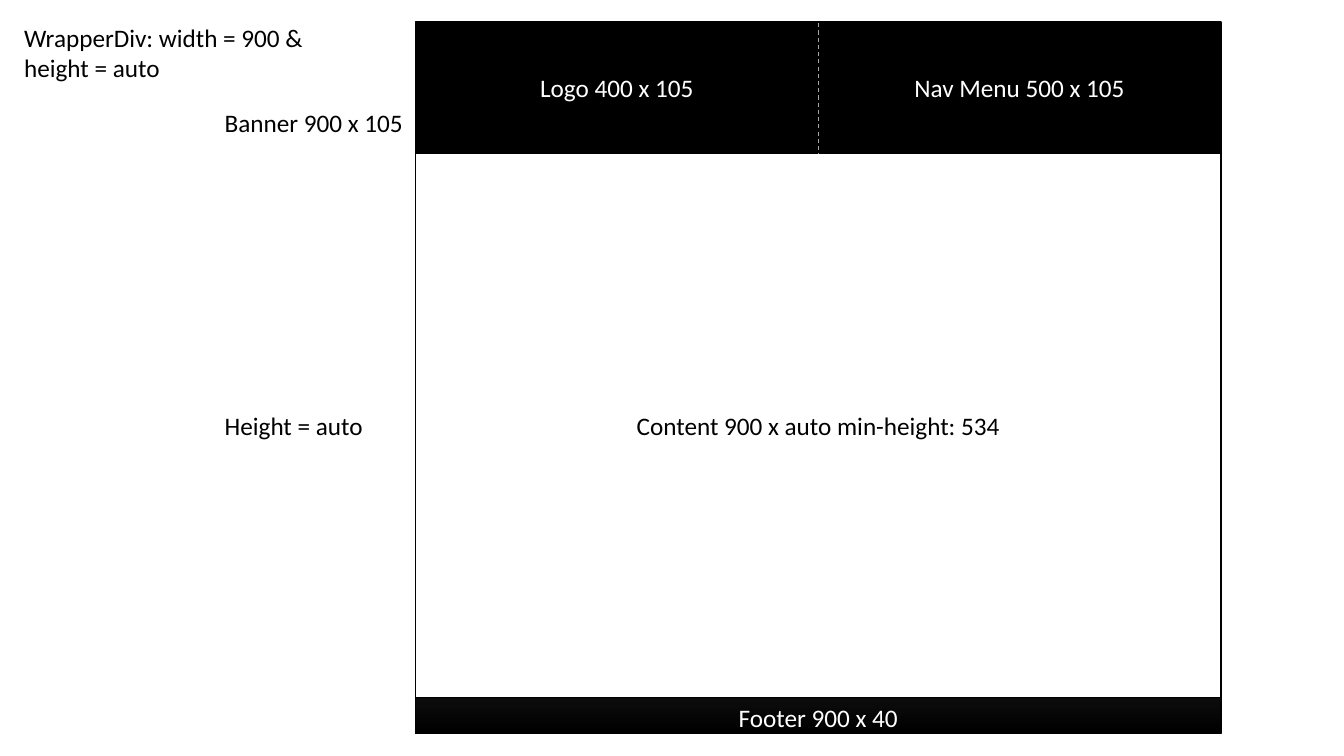
from dataclasses import dataclass
from typing import Optional

from lxml import etree
from pptx import Presentation
from pptx import util as u
from pptx.dml import color
from pptx.enum import dml, shapes, text
from pptx.oxml import ns

SLIDE_WIDTH, SLIDE_HEIGHT = u.Inches(13.33), u.Inches(7.5)
BLACK, WHITE, DIVIDER_GREY = "000000", "FFFFFF", "A5A5A5"
PAGE_LEFT, PAGE_WIDTH = 30.91, 59.94
HALF = PAGE_WIDTH / 2
MIDDLE = PAGE_LEFT + HALF
BANNER_TOP, CONTENT_TOP, FOOTER_TOP = 3.07, 20.27, 92.27
BANNER_HEIGHT = 17.1
LABEL_LEFT, LABEL_HEIGHT = 15.98, 5.33
WRAPPER_STOPS = [(0, "000000"), (22, "3B3838"), (47, "767171"),
                 (65, "AFABAB"), (83, "AFABAB"), (100, "D0CECE")]


@dataclass(frozen=True)
class Area:
    left: float
    top: float
    width: float
    height: float


@dataclass(frozen=True)
class Block:
    area: Area
    fill: Optional[str]
    wording: str = ""
    ink: str = WHITE


@dataclass(frozen=True)
class Label:
    area: Area
    wording: str
    ink: str = BLACK
    align: text.PP_ALIGN = text.PP_ALIGN.LEFT


def rgb(code: str) -> color.RGBColor:
    return color.RGBColor.from_string(code)


def across(share: float) -> int:
    return round(SLIDE_WIDTH * share / 100)


def down(share: float) -> int:
    return round(SLIDE_HEIGHT * share / 100)


def place(area: Area) -> tuple[int, int, int, int]:
    return across(area.left), down(area.top), across(area.width), down(area.height)


def write(frame, wording: str, ink: str, align: text.PP_ALIGN) -> None:
    frame.text = wording
    frame.word_wrap = True
    for paragraph in frame.paragraphs:
        paragraph.alignment = align
        for run in paragraph.runs:
            run.font.name = "Calibri"
            run.font.size = u.Pt(18)
            run.font.color.rgb = rgb(ink)


def shade(fill) -> None:
    fill.gradient()
    fill.gradient_angle = 90
    stops = fill._fill._gradFill.find(ns.qn("a:gsLst"))
    for stop in list(stops):
        stops.remove(stop)
    for position, code in WRAPPER_STOPS:
        stop = etree.SubElement(stops, ns.qn("a:gs"), pos=str(position * 1000))
        etree.SubElement(stop, ns.qn("a:srgbClr"), val=code)


def draw_block(slide, block: Block) -> None:
    panel = slide.shapes.add_shape(shapes.MSO_SHAPE.RECTANGLE, *place(block.area))
    panel.shadow.inherit = False
    if block.fill is None:
        shade(panel.fill)
    else:
        panel.fill.solid()
        panel.fill.fore_color.rgb = rgb(block.fill)
    panel.line.color.rgb = rgb(BLACK)
    panel.line.width = u.Pt(1)
    if block.wording:
        panel.text_frame.vertical_anchor = text.MSO_ANCHOR.MIDDLE
        write(panel.text_frame, block.wording, block.ink, text.PP_ALIGN.CENTER)


def draw_label(slide, label: Label) -> None:
    caption = slide.shapes.add_textbox(*place(label.area))
    write(caption.text_frame, label.wording, label.ink, label.align)
    caption.text_frame.auto_size = text.MSO_AUTO_SIZE.SHAPE_TO_FIT_TEXT


def draw_divider(slide) -> None:
    divider = slide.shapes.add_connector(
        shapes.MSO_CONNECTOR.STRAIGHT,
        across(MIDDLE), down(BANNER_TOP), across(MIDDLE), down(CONTENT_TOP))
    divider.line.color.rgb = rgb(DIVIDER_GREY)
    divider.line.width = u.Pt(0.75)
    divider.line.dash_style = dml.MSO_LINE.DASH
    etree.SubElement(divider._element.spPr, ns.qn("a:effectLst"))


PAGE = [
    Block(Area(PAGE_LEFT, 2.93, PAGE_WIDTH, 94.13), None),
    Block(Area(PAGE_LEFT, BANNER_TOP, HALF, BANNER_HEIGHT), BLACK, "Logo 400 x 105"),
    Block(Area(MIDDLE, BANNER_TOP, HALF, BANNER_HEIGHT), BLACK, "Nav Menu 500 x 105"),
    Label(Area(LABEL_LEFT, 13.6, 15.98, LABEL_HEIGHT), "Banner 900 x 105"),
    Label(Area(LABEL_LEFT, 53.6, 14.55, LABEL_HEIGHT), "Height = auto"),
    Label(Area(1.05, 2.27, 24.38, 9.47), "WrapperDiv: width = 900 & height = auto"),
    Block(Area(PAGE_LEFT, CONTENT_TOP, PAGE_WIDTH, FOOTER_TOP - CONTENT_TOP),
          WHITE, "Content 900 x auto min-height: 534", BLACK),
    Label(Area(PAGE_LEFT, FOOTER_TOP, PAGE_WIDTH, LABEL_HEIGHT),
          "Footer 900 x 40", WHITE, text.PP_ALIGN.CENTER),
]


def main() -> None:
    deck = Presentation()
    deck.slide_width, deck.slide_height = SLIDE_WIDTH, SLIDE_HEIGHT
    slide = deck.slides.add_slide(deck.slide_layouts[6])
    for part in PAGE:
        if isinstance(part, Block):
            draw_block(slide, part)
        else:
            draw_label(slide, part)
    draw_divider(slide)
    deck.save("out.pptx")


if __name__ == "__main__":
    main()
